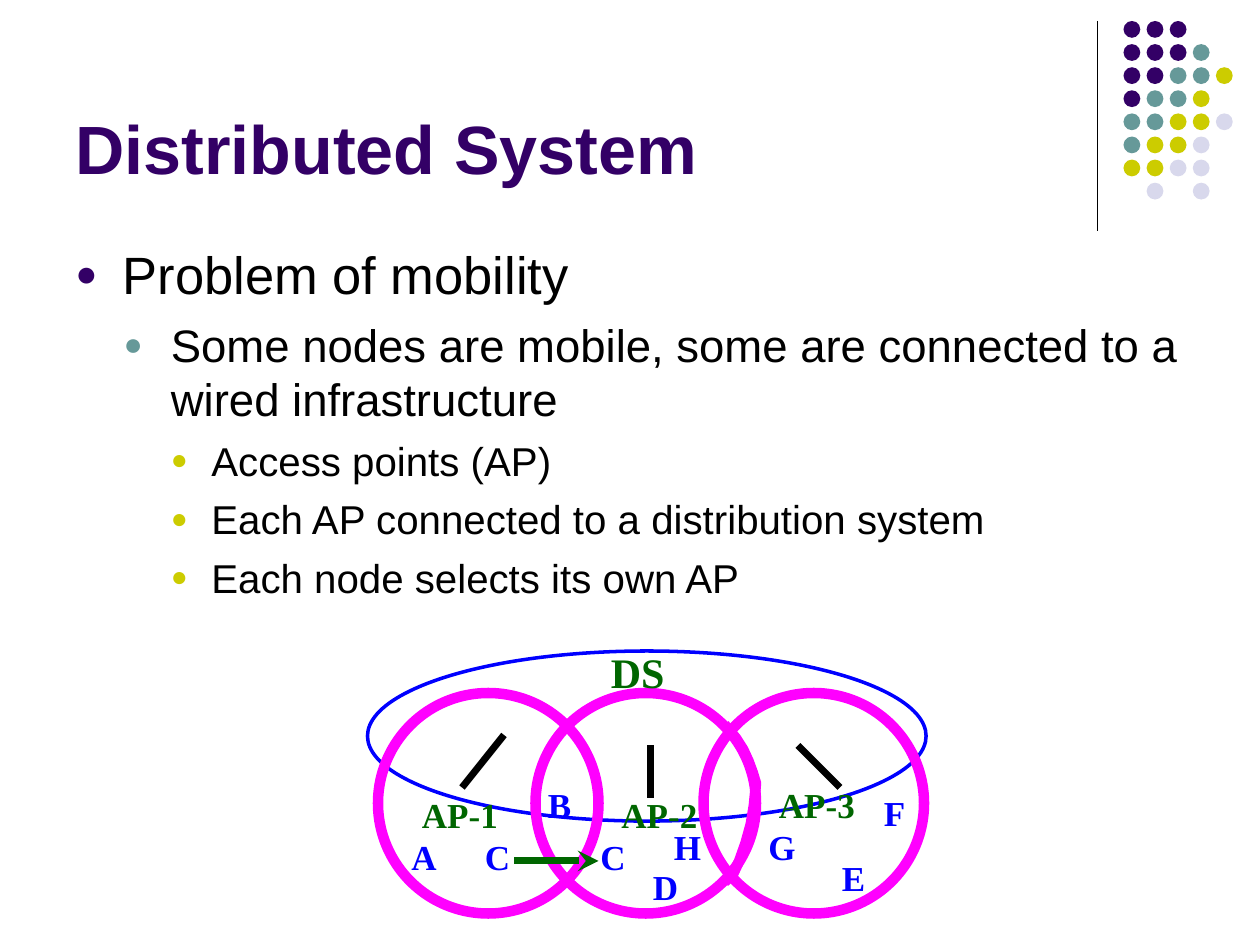
from lxml.etree import SubElement
from pptx import Presentation
from pptx.dml.color import RGBColor
from pptx.enum.shapes import MSO_CONNECTOR, MSO_SHAPE
from pptx.enum.text import MSO_ANCHOR
from pptx.oxml.ns import qn
from pptx.util import Inches, Pt

PURPLE, TEAL, OLIVE, LILAC = "330066", "669999", "CCCC00", "D8D8EC"
BLACK, BLUE, MAGENTA, GREEN = "000000", "0000FF", "FF00FF", "006600"
BODY_FONT, LABEL_FONT = "Arial", "Times New Roman"


def grid(value):
    """Length of a number of grid cells, twelve to the inch."""
    return Inches(value / 12)


def color(hex_string):
    return RGBColor.from_string(hex_string)


class SlideBuilder:
    """Draws on one slide; every length is in cells of a 120 by 90 grid."""

    # level: (text size, bullet colour, left indent, hanging indent, space before)
    LEVELS = [
        (30, PURPLE, 4.5, 4.5, 7.5),
        (26, TEAL, 9.1, 4.5, 6.5),
        (23, OLIVE, 12.95, 3.85, 5.8),
    ]

    def __init__(self, slide):
        self.shapes = slide.shapes

    def outline(self, shape, line_color, width):
        shape.line.color.rgb = color(line_color)
        shape.line.width = Pt(width)

    def ellipse(self, left, top, width, height, fill=None, line=None, line_width=1):
        shape = self.shapes.add_shape(
            MSO_SHAPE.OVAL, grid(left), grid(top), grid(width), grid(height))
        shape.shadow.inherit = False
        if fill:
            shape.fill.solid()
            shape.fill.fore_color.rgb = color(fill)
        else:
            shape.fill.background()
        if line:
            self.outline(shape, line, line_width)
        else:
            shape.line.fill.background()

    def curve(self, points, line_color, width):
        cells = [(grid(x), grid(y)) for x, y in points]
        builder = self.shapes.build_freeform(*cells[0])
        builder.add_line_segments(cells[1:], close=False)
        shape = builder.convert_to_shape()
        shape.shadow.inherit = False
        shape.fill.background()
        self.outline(shape, line_color, width)

    def line(self, start, end, line_color, width, arrow=None):
        connector = self.shapes.add_connector(
            MSO_CONNECTOR.STRAIGHT, *map(grid, (*start, *end)))
        self.outline(connector, line_color, width)
        if arrow:
            SubElement(connector.line._get_or_add_ln(), qn("a:tailEnd"), type=arrow)
        SubElement(connector._element.spPr, qn("a:effectLst"))

    def text_box(self, left, top, width, height, anchor=MSO_ANCHOR.TOP):
        box = self.shapes.add_textbox(grid(left), grid(top), grid(width), grid(height))
        text_frame = box.text_frame
        text_frame.word_wrap = True
        text_frame.vertical_anchor = anchor
        return text_frame

    def format_text(self, paragraph, size, text_color, font_name, bold):
        for run in paragraph.runs:
            font = run.font
            font.size, font.name, font.bold = Pt(size), font_name, bold
            font.color.rgb = color(text_color)

    def label(self, text, left, top, width, height=5.2, size=20, text_color=BLUE,
              font_name=LABEL_FONT, anchor=MSO_ANCHOR.TOP):
        text_frame = self.text_box(left, top, width, height, anchor)
        text_frame.text = text
        self.format_text(text_frame.paragraphs[0], size, text_color, font_name, True)

    def bullets(self, items, left, top, width, height):
        text_frame = self.text_box(left, top, width, height)
        text_frame.text = "\n".join(text for _, text in items)
        for paragraph, (level, _) in zip(text_frame.paragraphs, items):
            size, bullet_color, indent, hanging, space = self.LEVELS[level]
            paragraph.level = level
            paragraph.space_before = Pt(space)
            self.format_text(paragraph, size, BLACK, BODY_FONT, False)
            properties = paragraph._p.get_or_add_pPr()
            properties.set("marL", str(grid(indent)))
            properties.set("indent", str(-grid(hanging)))
            bullet = SubElement(properties, qn("a:buClr"))
            SubElement(bullet, qn("a:srgbClr"), val=bullet_color)
            SubElement(properties, qn("a:buSzPct"), val="70000")
            SubElement(properties, qn("a:buFont"), typeface=BODY_FONT)
            SubElement(properties, qn("a:buChar"), char="●")


def draw_dots(builder):
    dot_colors = {"P": PURPLE, "T": TEAL, "O": OLIVE, "L": LILAC}
    rows = ["PPP", "PPPT", "PPTTO", "PTTO", "TTOOL", "TOOL", "OOLL", ".L.L"]
    pitch, size = 2.2, 1.6
    for row, codes in enumerate(rows):
        for column, code in enumerate(codes):
            if code in dot_colors:
                builder.ellipse(107 + column * pitch, 2 + row * pitch, size, size,
                                fill=dot_colors[code])


def draw_network(builder):
    builder.ellipse(35, 62, 53.2, 16.2, line=BLUE, line_width=2)
    for left in (36, 51, 67):
        builder.ellipse(left, 66, 21, 21, line=MAGENTA, line_width=6)
    overlap_edge = [(69, 69), (70.1, 70.3), (70.8, 71.4), (71.3, 72.5), (71.7, 73.6),
                    (72, 74.6), (71.8, 76.7), (71.5, 78.5), (71, 80.3), (70.4, 82),
                    (69.8, 83.3), (69, 84)]
    builder.curve(overlap_edge, MAGENTA, 6)

    builder.label("DS", 57, 61, 9, 6, size=24, text_color=GREEN)
    for name, left, top in [("AP-1", 39, 75), ("AP-2", 58, 75), ("AP-3", 73, 74)]:
        builder.label(name, left, top, 14, text_color=GREEN)
    for start, end in [((48, 70), (44, 75)), ((62, 71), (62, 76)), ((76, 71), (80, 75))]:
        builder.line(start, end, BLACK, 4)

    nodes = [("A", 38, 79), ("C", 45, 79), ("C", 56, 79), ("D", 61, 81.8), ("H", 63, 78),
             ("G", 72, 78), ("E", 79, 81), ("F", 83, 74.8), ("B", 51, 74)]
    for name, left, top in nodes:
        builder.label(name, left, top, 5)
    builder.line((49, 82), (57, 82), GREEN, 4, arrow="stealth")


def main():
    presentation = Presentation()
    presentation.slide_width, presentation.slide_height = grid(120), grid(90)
    builder = SlideBuilder(presentation.slides.add_slide(presentation.slide_layouts[6]))

    builder.line((104.5, 2), (104.5, 22), BLACK, 0.75)
    draw_dots(builder)
    builder.label("Distributed System", 6, 1.5, 99, 17, size=39, text_color=PURPLE,
                  font_name=BODY_FONT, anchor=MSO_ANCHOR.BOTTOM)
    builder.bullets([
        (0, "Problem of mobility"),
        (1, "Some nodes are mobile, some are connected to a wired infrastructure"),
        (2, "Access points (AP)"),
        (2, "Each AP connected to a distribution system"),
        (2, "Each node selects its own AP"),
    ], 6, 22.5, 108, 57.8)
    draw_network(builder)

    presentation.save("out.pptx")


if __name__ == "__main__":
    main()
